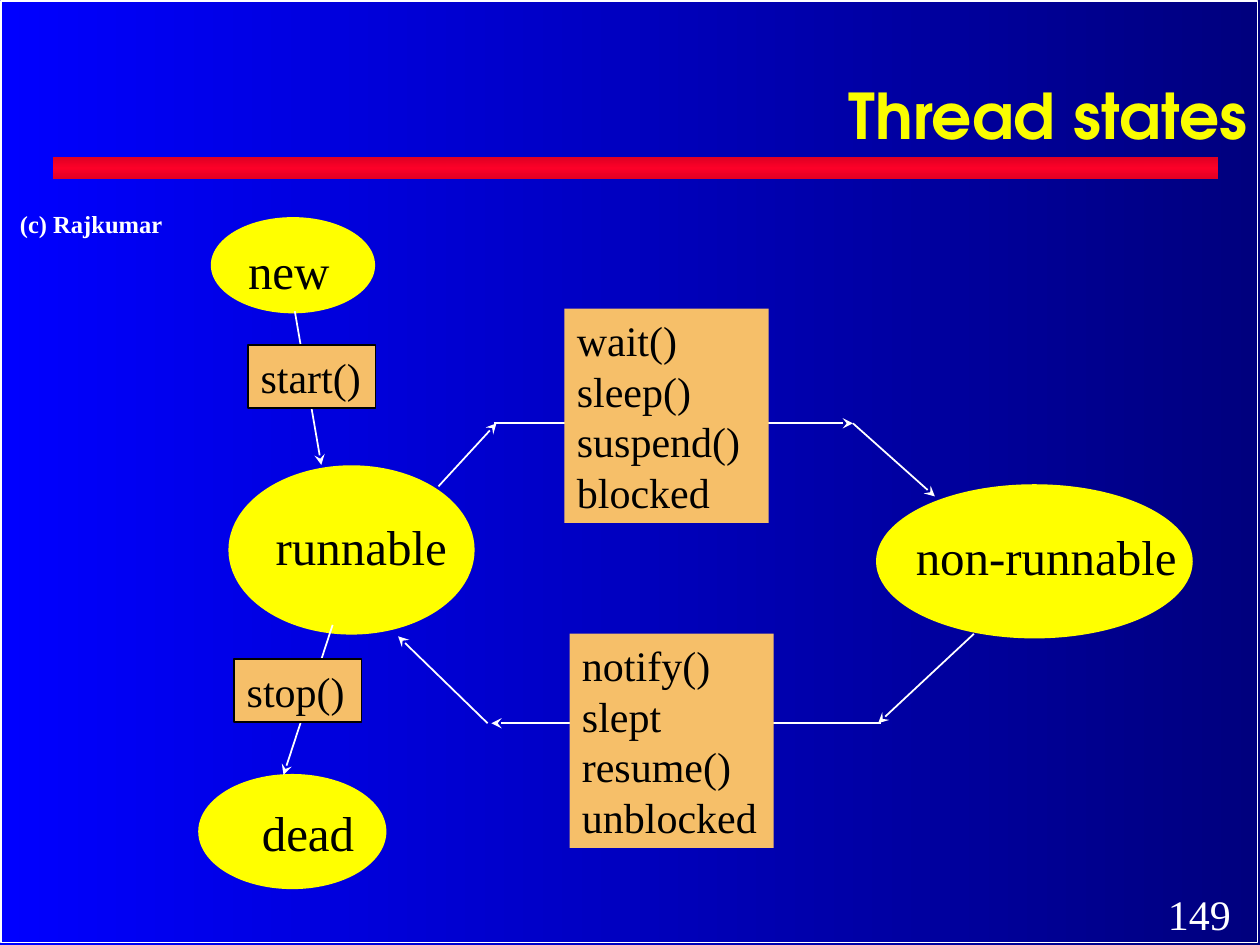
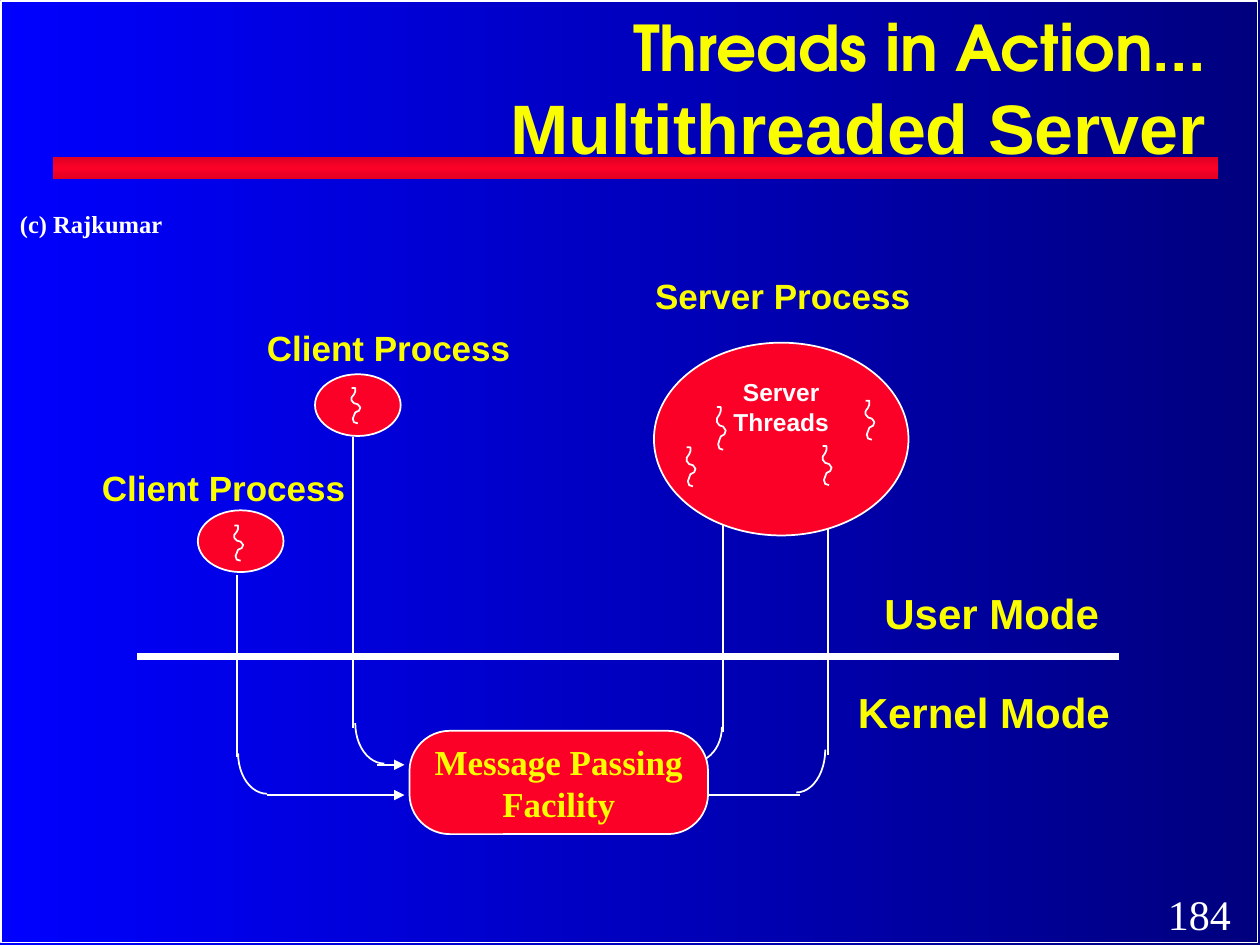
from copy import deepcopy
from dataclasses import dataclass

from pptx import Presentation
from pptx.dml.color import RGBColor
from pptx.enum.shapes import MSO_CONNECTOR, MSO_SHAPE
from pptx.enum.text import MSO_ANCHOR, PP_ALIGN
from pptx.oxml.ns import qn
from pptx.oxml.xmlchemy import OxmlElement
from pptx.util import Inches, Pt

RECTANGLE, ROUNDED = MSO_SHAPE.RECTANGLE, MSO_SHAPE.ROUNDED_RECTANGLE
ELLIPSE, ARC = MSO_SHAPE.OVAL, MSO_SHAPE.ARC
STRAIGHT = MSO_CONNECTOR.STRAIGHT
LEFT, CENTER, RIGHT = PP_ALIGN.LEFT, PP_ALIGN.CENTER, PP_ALIGN.RIGHT
TOP, MIDDLE = MSO_ANCHOR.TOP, MSO_ANCHOR.MIDDLE


@dataclass(frozen=True)
class Theme:
    white: str = "FFFFFF"
    black: str = "000000"
    title: str = "FAFD00"
    state: str = "FFFF00"
    method: str = "F6BF69"
    red: str = "FC0128"
    dark_red: str = "E10023"
    navy: str = "00007E"
    blue: str = "0000FF"
    serif: str = "Times New Roman"
    sans: str = "Arial"
    display: str = "TeX Gyre Adventor"
    title_size: int = 36
    subtitle_size: int = 40
    state_size: int = 28
    body_size: int = 24
    label_size: int = 20
    small_size: int = 14


theme = Theme()
deck = Presentation()
deck.slide_width, deck.slide_height = Inches(10), Inches(7.5)
COLUMN = deck.slide_width / 100
ROW = deck.slide_height / 75


def add_box(page, place, text="", kind=None, fill=None, line=None, font=theme.serif,
            size=theme.body_size, color=theme.black, bold=False, align=LEFT,
            anchor=TOP, wrap=True, spacing=None):
    left, top, width, height = place
    frame = (round(left * COLUMN), round(top * ROW), round(width * COLUMN), round(height * ROW))
    if kind is None:
        box = page.shapes.add_textbox(*frame)
    else:
        box = page.shapes.add_shape(kind, *frame)
        box.shadow.inherit = False
        if fill:
            box.fill.solid()
            box.fill.fore_color.rgb = RGBColor.from_string(fill)
        else:
            box.fill.background()
        if line:
            box.line.color.rgb = RGBColor.from_string(line)
            box.line.width = Pt(1)
        else:
            box.line.fill.background()
    if text:
        box.text_frame.text = text
        box.text_frame.word_wrap = wrap
        box.text_frame.vertical_anchor = anchor
        for para in box.text_frame.paragraphs:
            para.alignment = align
            para.line_spacing = spacing
            for span in para.runs:
                span.font.name, span.font.size, span.font.bold = font, Pt(size), bold
                span.font.color.rgb = RGBColor.from_string(color)
    return box


def add_line(page, start, end, width=1, head=None, tail=None):
    connector = page.shapes.add_connector(
        STRAIGHT, round(start[0] * COLUMN), round(start[1] * ROW),
        round(end[0] * COLUMN), round(end[1] * ROW))
    connector.line.color.rgb = RGBColor.from_string(theme.white)
    connector.line.width = Pt(width)
    outline = connector._element.spPr
    for name, arrow in (("a:headEnd", head), ("a:tailEnd", tail)):
        if arrow:
            tip = OxmlElement(name)
            tip.set("type", arrow)
            outline.find(qn("a:ln")).append(tip)
    outline.append(OxmlElement("a:effectLst"))


pages = []
for number in ("149", "184"):
    page = deck.slides.add_slide(deck.slide_layouts[6])
    pages.append(page)
    page.background.fill.gradient()
    add_box(page, (0.1, 0.1, 99.7, 74.7), kind=RECTANGLE, line=theme.white)
    band = add_box(page, (4.2, 12.5, 92.5, 1.7), kind=RECTANGLE)
    band.fill.gradient()
    stop_list = band._element.spPr.find(".//" + qn("a:gsLst"))
    stop_list.insert(1, deepcopy(stop_list[0]))
    for fill, angle, colors in (
            (page.background.fill, 180, (theme.navy, theme.blue)),
            (band.fill, 90, (theme.dark_red, theme.red, theme.dark_red))):
        fill.gradient_angle = angle
        for index, color in enumerate(colors):
            stop = fill.gradient_stops[index]
            stop.color.rgb = RGBColor.from_string(color)
            stop.position = index / (len(colors) - 1)
    add_box(page, (91.7, 70, 7.5, 5), number, color=theme.white)
    add_box(page, (0.6, 16.1, 13.3, 3.3), "(c) Rajkumar", size=theme.small_size,
            color=theme.white, bold=True, wrap=False)
states_page, server_page = pages

add_box(states_page, (15, 3.7, 85, 11.5), "Thread states", font=theme.display,
        size=theme.title_size, color=theme.title, bold=True, align=RIGHT,
        anchor=MIDDLE, spacing=0.89)
states = [
    ("new", (16.8, 17.3, 12.9, 7.5), (18.7, 18.6, 8.5, 5.7)),
    ("non-runnable", (69.6, 38.5, 25, 12.1), (71.7, 41.3, 22.7, 5.7)),
    ("dead", (15.8, 61.5, 14.8, 9), (19.8, 63.2, 9.4, 5.7)),
    ("runnable", (18.2, 37, 19.4, 13.3), (20.9, 40.5, 15.6, 5.7)),
]
for name, oval, label in states:
    add_box(states_page, oval, kind=ELLIPSE, fill=theme.state, line=theme.state)
    add_box(states_page, label, name, size=theme.state_size, wrap=False)

transitions = [
    ((34.8, 38.6), (39.4, 33.6)),
    ((39.2, 33.6), (67.7, 33.6)),
    ((67.7, 33.6), (74.2, 39.4)),
    ((23.4, 24.7), (25.5, 36.9)),
    ((26.4, 49.6), (22.5, 61.5)),
    ((38.7, 57.4), (31.6, 50.5)),
    ((69.9, 57.4), (39, 57.4)),
    ((77.3, 50.3), (69.7, 57.4)),
]
for start, end in transitions:
    add_line(states_page, start, end, tail="stealth")

methods = [
    ("wait()\nsleep()\nsuspend()\nblocked", (44.8, 24.5, 16.2, 17), None),
    ("notify()\nslept\nresume()\nunblocked", (45.2, 50.3, 16.2, 17), None),
    ("start()", (19.7, 27.4, 10.1, 5), theme.black),
    ("stop()", (18.6, 52.3, 10.1, 5), theme.black),
]
for text, place, line in methods:
    add_box(states_page, place, text, kind=RECTANGLE, fill=theme.method, line=line)

verticals = [
    (65.7, 39.4, 59.9),
    (57.4, 37, 58.1),
    (28, 34.7, 57.8),
    (18.8, 45.6, 60.1),
]
for x, top, bottom in verticals:
    add_line(server_page, (x, top), (x, bottom))

RADIUS = 2.3
bends = [
    (63.2, 59.5, 3.4, 0),
    (55, 57.7, 2.8, 0),
    (30.5, 57.4, 3.2, 90),
    (21.2, 59.8, 3.2, 90),
]
for x, y, drop, angle in bends:
    bend = add_box(server_page, (x - RADIUS, y - drop, 2 * RADIUS, 2 * drop),
                   kind=ARC, line=theme.white)
    bend.adjustments[0], bend.adjustments[1] = angle * 0.6, (angle + 90) * 0.6

add_line(server_page, (63.5, 63.1), (52.3, 63.1))
for start, y in ((29.9, 60.7), (21.2, 63.1)):
    add_line(server_page, (start, y), (32.1, y), tail="triangle")
add_line(server_page, (10.9, 52.1), (88.8, 52.1), width=4)

add_box(server_page, (51.9, 27.2, 20.2, 15.3), "Server\nThreads", kind=ELLIPSE,
        fill=theme.red, line=theme.white, font=theme.sans, size=theme.small_size,
        color=theme.white, bold=True, align=CENTER, wrap=False)
for left, top in ((25, 29.7), (15.7, 40.5)):
    add_box(server_page, (left, top, 6.8, 4.9), kind=ELLIPSE, fill=theme.red, line=theme.white)

squiggle = [(0, 0), (0.3, 0), (0.3, 0.1), (0.2, 0.18), (0, 0.27), (0, 0.35), (0.2, 0.43),
            (0.5, 0.46), (0.7, 0.55), (0.6, 0.64), (0.3, 0.69), (0.2, 0.78), (0.1, 0.87),
            (0.2, 0.97), (0.5, 1)]
threads = [
    (54.5, 35.5, 3.1),
    (56.9, 32.3, 3.4),
    (65.3, 35.4, 3.1),
    (68.7, 31.8, 3.1),
    (27.9, 30.8, 2.8),
    (18.6, 41.7, 2.8),
]
for left, top, height in threads:
    points = [(round((left + x) * COLUMN), round((top + y * height) * ROW)) for x, y in squiggle]
    builder = server_page.shapes.build_freeform(*points[0])
    builder.add_line_segments(points[1:], close=False)
    thread = builder.convert_to_shape()
    thread.shadow.inherit = False
    thread.fill.solid()
    thread.fill.fore_color.rgb = RGBColor.from_string(theme.red)
    thread.line.color.rgb = RGBColor.from_string(theme.white)
    thread.line.width = Pt(1)

facility = add_box(server_page, (32.5, 58, 23.7, 8.2), "Message Passing\nFacility", kind=ROUNDED,
                   fill=theme.red, line=theme.white, size=theme.label_size, color=theme.title,
                   bold=True, align=CENTER, anchor=MIDDLE, wrap=False)
facility.adjustments[0] = 0.39

labels = [
    ("Server Process", (51, 21.3, 25.8, 4.3), theme.label_size),
    ("Client Process", (20.2, 25.4, 23.3, 4.3), theme.label_size),
    ("Client Process", (7.1, 36.5, 29.3, 4.3), theme.label_size),
    ("User Mode", (69.2, 46.1, 19.8, 5), theme.body_size),
    ("Kernel Mode", (67.1, 54, 23, 5), theme.body_size),
]
for text, place, size in labels:
    add_box(server_page, place, text, font=theme.sans, size=size, color=theme.title, bold=True)

heading = add_box(server_page, (11.3, 0.2, 85.4, 13.6),
                  "Threads in Action...\nMultithreaded Server", font=theme.display,
                  size=theme.title_size, color=theme.title, bold=True, align=RIGHT)
span = heading.text_frame.paragraphs[1].runs[0]
span.font.name, span.font.size = theme.sans, Pt(theme.subtitle_size)

deck.save("out.pptx")
